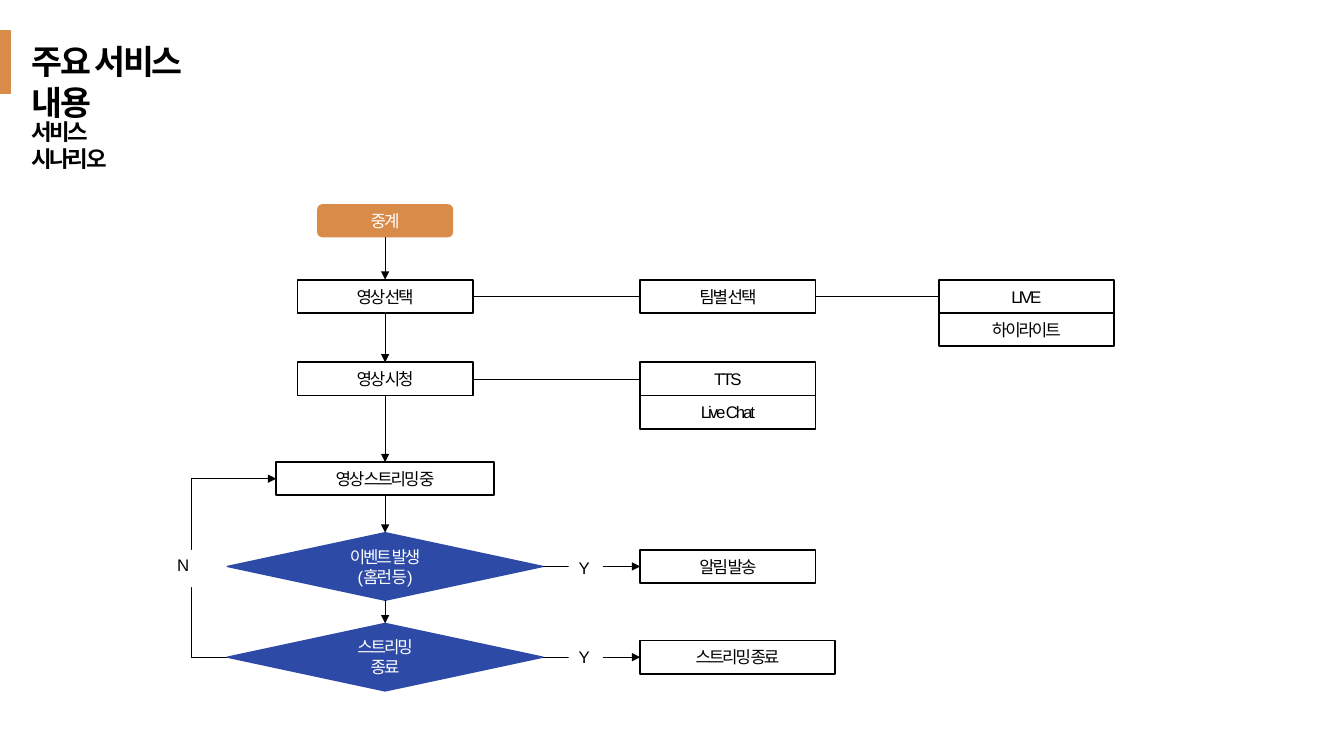
"""Builds a slide with the flow chart of a video streaming service."""
from lxml import etree
from pptx import Presentation
from pptx.dml.color import RGBColor
from pptx.enum.shapes import MSO_CONNECTOR, MSO_SHAPE
from pptx.enum.text import MSO_ANCHOR, MSO_AUTO_SIZE, PP_ALIGN
from pptx.oxml.ns import qn
from pptx.util import Inches, Pt

RECT = MSO_SHAPE.RECTANGLE
ROUND = MSO_SHAPE.ROUNDED_RECTANGLE
DIAMOND = MSO_SHAPE.DIAMOND
LINE, ELBOW = MSO_CONNECTOR.STRAIGHT, MSO_CONNECTOR.ELBOW
TOP, MIDDLE = MSO_ANCHOR.TOP, MSO_ANCHOR.MIDDLE
LEFT, CENTER = PP_ALIGN.LEFT, PP_ALIGN.CENTER
FIXED = MSO_AUTO_SIZE.NONE

COLORS = {
    name: RGBColor.from_string(code)
    for name, code in {
        "black": "000000", "white": "FFFFFF",
        "orange": "D98B4A", "blue": "2D4AA6",
    }.items()
}
FONT = "Arial"
MAIN, SIDE, LAST = 3.82, 6.35, 9.31
START, SELECT, WATCH, STREAM, EVENT, FINISH = 2.19, 2.94, 3.76, 4.75, 5.62, 6.52
WIDE, HIGH, TALL = 1.74, 0.33, 0.67
SPAN = 3.13
BACK = 1.9


def write(frame, lines, size, color, align, anchor):
    """Fills a text frame, one paragraph a line."""
    frame.word_wrap = True
    frame.auto_size = FIXED
    frame.vertical_anchor = anchor
    for i, line in enumerate(lines):
        para = frame.add_paragraph() if i else frame.paragraphs[0]
        para.alignment = align
        run = para.add_run()
        run.text = line
        run.font.name = FONT
        run.font.size = Pt(size)
        run.font.bold = size > 12
        run.font.color.rgb = COLORS[color]
        run._r.get_or_add_rPr().set("spc", "-150")


def draw(kind, x, y, w, h, fill, edge, weight=1):
    """Adds a shape with its left edge at x and its middle at y."""
    shape = slide.shapes.add_shape(
        kind, Inches(x), Inches(y - h / 2), Inches(w), Inches(h))
    shape.shadow.inherit = False
    if fill:
        shape.fill.solid()
        shape.fill.fore_color.rgb = COLORS[fill]
    else:
        shape.fill.background()
    if edge:
        shape.line.color.rgb = COLORS[edge]
        shape.line.width = Pt(weight)
    else:
        shape.line.fill.background()
    return shape


deck = Presentation()
deck.slide_width, deck.slide_height = Inches(13.33), Inches(7.5)
slide = deck.slides.add_slide(deck.slide_layouts[5])

title = slide.shapes.title
title.left, title.top = Inches(0.21), Inches(0.36)
title.width, title.height = Inches(2.22), Inches(0.5)
write(title.text_frame, ["주요 서비스 내용"], 24, "black", LEFT, TOP)
draw(RECT, 0, 0.615, 0.1, 0.63, "orange", "orange")
head = slide.shapes.add_textbox(
    Inches(0.21), Inches(1.12), Inches(1.46), Inches(0.37))
write(head.text_frame, ["서비스 시나리오"], 16, "black", LEFT, TOP)

start = draw(ROUND, MAIN - 1.35 / 2, START, 1.35, HIGH, "orange", None)
write(start.text_frame, ["중계"], 12, "white", CENTER, MIDDLE)

boxes = [
    ("영상 선택", MAIN - WIDE / 2, SELECT, WIDE),
    ("영상 시청", MAIN - WIDE / 2, WATCH, WIDE),
    ("영상 스트리밍 중", MAIN - 2.16 / 2, STREAM, 2.16),
    ("팀별 선택", SIDE, SELECT, WIDE),
    ("LIVE", LAST, SELECT, WIDE),
    ("하이라이트", LAST, SELECT + HIGH, WIDE),
    ("TTS", SIDE, WATCH, WIDE),
    ("Live Chat", SIDE, WATCH + HIGH, WIDE),
    ("알림 발송", SIDE, EVENT, WIDE),
    ("스트리밍 종료", SIDE, FINISH, 1.93),
]
for text, x, y, w in boxes:
    box = draw(RECT, x, y, w, HIGH, None, "black", 1.25)
    write(box.text_frame, [text], 12, "black", CENTER, MIDDLE)

tests = [
    (EVENT, ["이벤트 발생", "(홈런 등)"]),
    (FINISH, ["스트리밍", "종료"]),
]
for y, lines in tests:
    test = draw(DIAMOND, MAIN - SPAN / 2, y, SPAN, TALL, "blue", "blue")
    write(test.text_frame, lines, 12, "white", CENTER, MIDDLE)

steps = [(START, HIGH), (SELECT, HIGH), (WATCH, HIGH), (STREAM, HIGH),
         (EVENT, TALL), (FINISH, TALL)]
links = [
    (LINE, MAIN, y + h / 2, MAIN, down - tall / 2, True)
    for (y, h), (down, tall) in zip(steps, steps[1:])
]
links += [
    (LINE, MAIN + WIDE / 2, SELECT, SIDE, SELECT, False),
    (LINE, SIDE + WIDE, SELECT, LAST, SELECT, False),
    (LINE, MAIN + WIDE / 2, WATCH, SIDE, WATCH, False),
    (LINE, MAIN + SPAN / 2, EVENT, SIDE, EVENT, True),
    (LINE, MAIN + SPAN / 2, FINISH, SIDE, FINISH, True),
    (ELBOW, MAIN - SPAN / 2, FINISH, MAIN - 2.16 / 2, STREAM, True),
]
for kind, x, y, right, down, arrow in links:
    link = slide.shapes.add_connector(
        kind, Inches(x), Inches(y), Inches(right), Inches(down))
    link.line.color.rgb = COLORS["black"]
    link.line.width = Pt(0.5)
    props = link._element.spPr
    if arrow:
        etree.SubElement(props.find(qn("a:ln")), qn("a:tailEnd"), type="triangle")
    if kind == ELBOW:
        bend = round((BACK - x) / (right - x) * 100000)
        guides = props.find(qn("a:prstGeom")).find(qn("a:avLst"))
        etree.SubElement(guides, qn("a:gd"), name="adj1", fmla=f"val {bend}")
    etree.SubElement(props, qn("a:effectLst"))

for text, x, y in [("Y", 5.64, 5.67), ("Y", 5.64, 6.55), ("N", 1.66, 5.64)]:
    label = draw(RECT, x, y, 0.34, 0.37, "white", None)
    write(label.text_frame, [text], 12, "black", LEFT, TOP)

deck.save("out.pptx")
